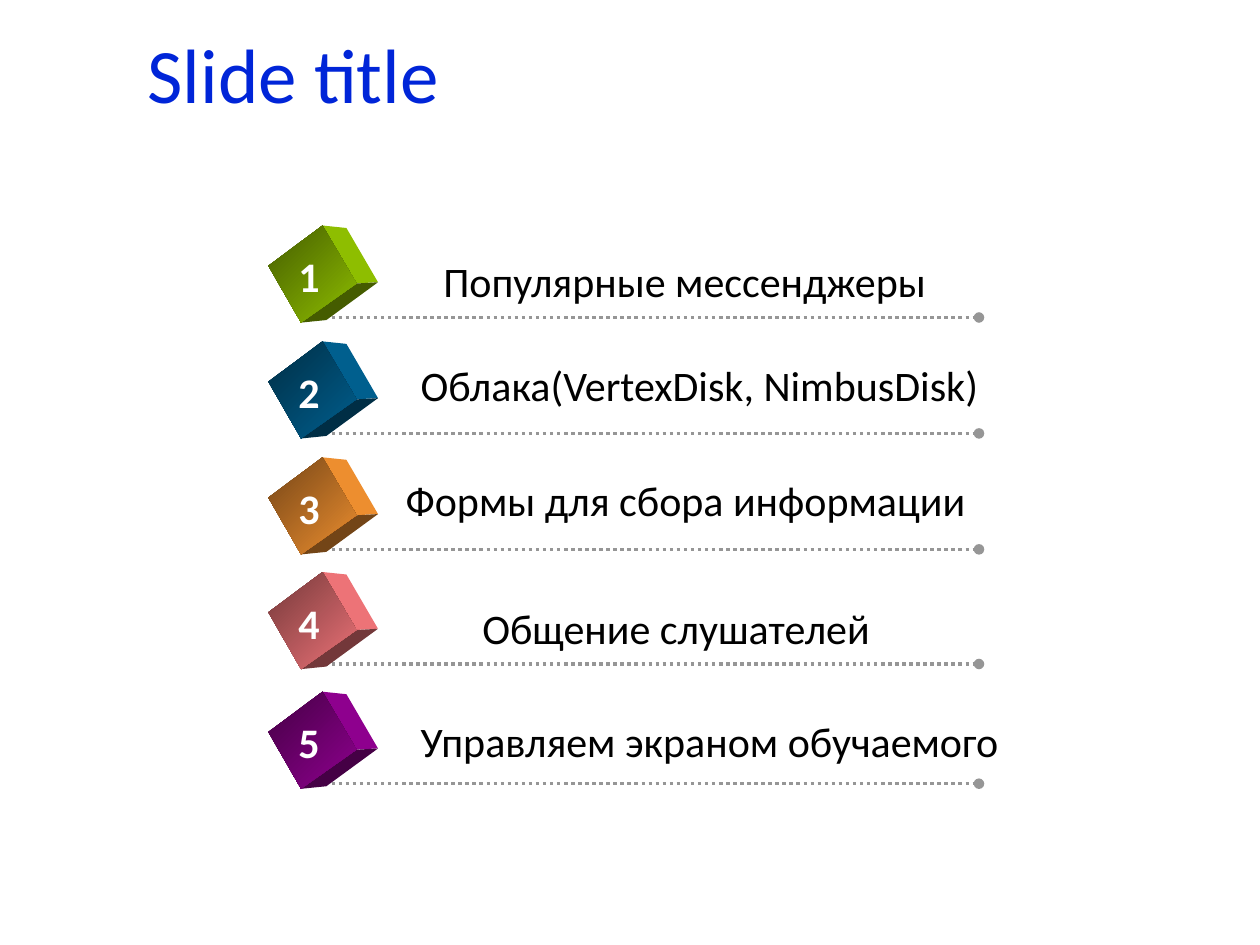
from lxml.etree import SubElement
from pptx import Presentation
from pptx.dml.color import RGBColor
from pptx.enum.dml import MSO_LINE
from pptx.enum.shapes import MSO_CONNECTOR
from pptx.enum.text import MSO_ANCHOR, PP_ALIGN
from pptx.oxml.ns import qn
from pptx.util import Inches, Pt


def color(hex_string, shade=1):
    return RGBColor(*(round(part * shade) for part in bytes.fromhex(hex_string)))


def write(box, text, size, hex_string, bold=False):
    para = box.text_frame.paragraphs[0]
    para.alignment = PP_ALIGN.LEFT
    span = para.add_run()
    span.text = text
    span.font.color.rgb = color(hex_string)
    for name, value in {"name": "Calibri", "size": Pt(size), "bold": bold}.items():
        setattr(span.font, name, value)
    return para


deck = Presentation()
deck.slide_width, deck.slide_height = Inches(10), Inches(7.5)
page = deck.slides.add_slide(deck.slide_layouts[5])

# Title
title = page.shapes.title
title.left, title.top = Inches(1.07), Inches(0.12)
title.width, title.height = Inches(7.01), Inches(1)
title.text_frame.vertical_anchor = MSO_ANCHOR.MIDDLE
write(title, "Slide title", 44, "0025D8").line_spacing = 0.9

# Rows: line height on the page, cube colour, label, label left, top and width
rows = [
    (2.52, "99CC00", "Популярные мессенджеры", 3.42, 1.98, 4.07),
    (3.44, "006699", "Облака(VertexDisk, NimbusDisk)", 3.24, 2.8, 4.84),
    (4.36, "FF9933", "Формы для сбора информации", 3.12, 3.72, 4.69),
    (5.27, "FF7C80", "Общение слушателей", 3.73, 4.73, 3.31),
    (6.22, "990099", "Управляем экраном обучаемого", 3.24, 5.63, 4.82),
]

# Cube faces: shade of the colour and corners, with heights measured from the line
DARK, LIGHT = 0.45, 0.93
faces = [
    (LIGHT, [(2.56, -0.73), (2.75, -0.71), (3, -0.28), (2.83, -0.27)]),
    (DARK, [(2.39, 0.04), (2.83, -0.27), (3, -0.28), (2.59, 0.02)]),
    (None, [(2.13, -0.41), (2.56, -0.73), (2.83, -0.27), (2.39, 0.04)]),
]

for number, (line_y, cube_color, label, left, top, width) in enumerate(rows, 1):
    row = page.shapes.add_group_shape().shapes

    # Dotted line with a round end
    rule = row.add_connector(MSO_CONNECTOR.STRAIGHT, Inches(2.52), Inches(line_y),
                             Inches(7.77), Inches(line_y))
    rule.line.color.rgb = color("969696")
    rule.line.width = Pt(2)
    rule.line.dash_style = MSO_LINE.ROUND_DOT
    SubElement(rule.line._get_or_add_ln(), qn("a:tailEnd"), type="oval")
    SubElement(rule._element.spPr, qn("a:effectLst"))

    # Cube, with a gradient on the front face
    for shade, corners in faces:
        points = [(Inches(x), Inches(line_y + y)) for x, y in corners]
        builder = row.build_freeform(*points[0])
        builder.add_line_segments(points[1:], close=True)
        face = builder.convert_to_shape()
        face.shadow.inherit = False
        face.line.fill.background()
        if shade:
            face.fill.solid()
            face.fill.fore_color.rgb = color(cube_color, shade)
        else:
            face.fill.gradient()
            face.fill.gradient_angle = 315
            for stop, stop_shade in zip(face.fill.gradient_stops, (DARK, LIGHT)):
                stop.color.rgb = color(cube_color, stop_shade)

    # Label and number
    label_box = row.add_textbox(Inches(left), Inches(top), Inches(width), Inches(0.51))
    number_box = row.add_textbox(Inches(2.27), Inches(line_y - 0.58),
                                 Inches(0.39), Inches(0.5))
    for box in (label_box, number_box):
        box.text_frame.word_wrap = False
    write(label_box, label, 24, "000000")
    write(number_box, str(number), 24, "FFFFFF", bold=True)

deck.save("out.pptx")
